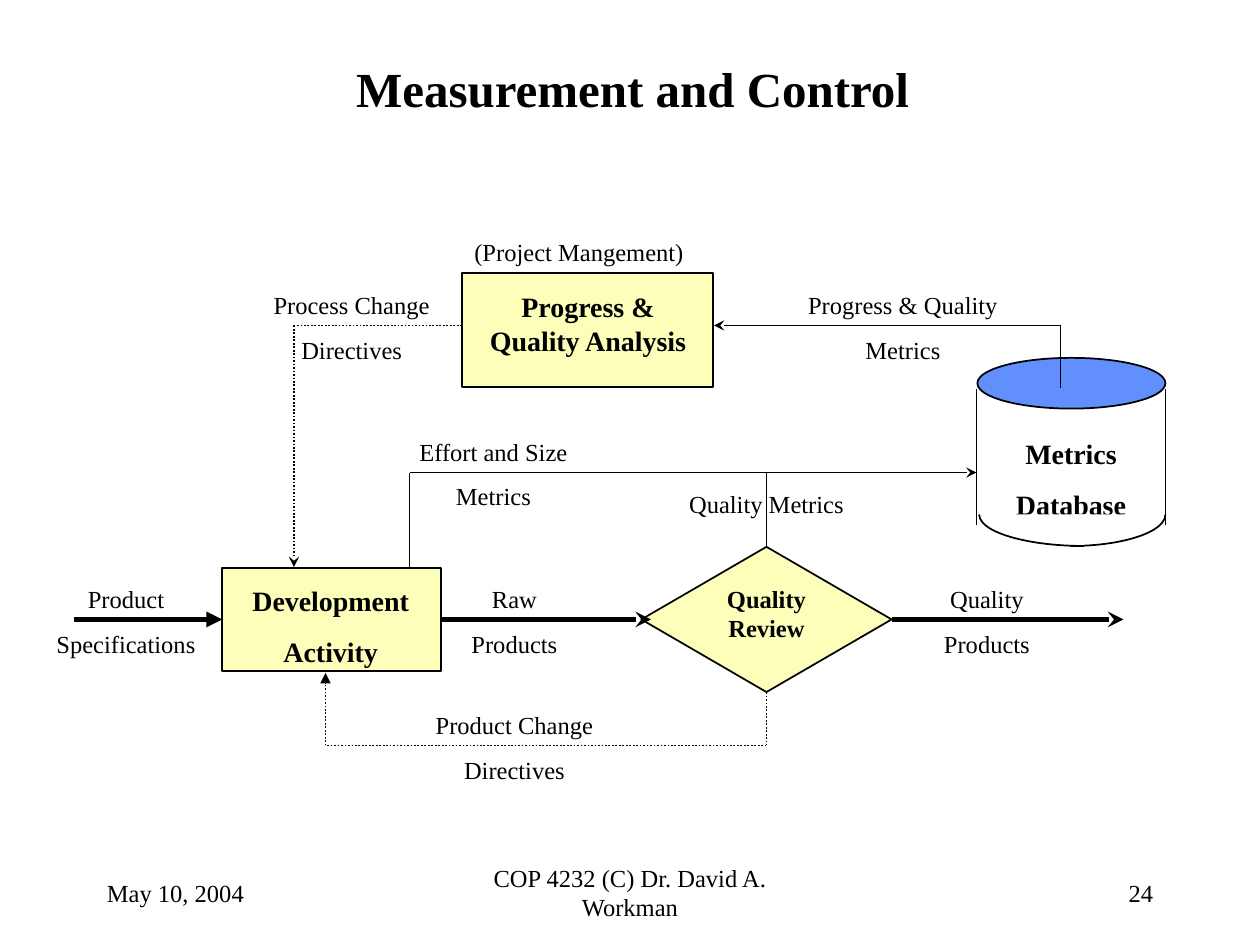
"""Build the Measurement and Control flow slide."""
from pptx import Presentation
from pptx.dml.color import RGBColor
from pptx.enum.dml import MSO_LINE as Dash
from pptx.enum.shapes import MSO_CONNECTOR as Conn, MSO_SHAPE as Kind
from pptx.enum.text import MSO_ANCHOR as Anchor, PP_ALIGN as Align
from pptx.oxml.ns import qn
from pptx.util import Pt

FONT = "Times New Roman"
BLACK, WHITE, CREAM, BLUE = "000000", "FFFFFF", "FCFEB9", "618FFD"

NODES = {
    "dev": (Kind.RECTANGLE, 127, 324.5, 125, 59, CREAM),
    "review": (Kind.DIAMOND, 366.5, 312.5, 143, 83, CREAM),
    "progress": (Kind.RECTANGLE, 264, 156, 143.5, 65, CREAM),
    "lid": (Kind.OVAL, 558.5, 204.5, 107.5, 29, BLUE),
}
WALLS = [((x, 222.5), (x, 300)) for x in (558, 666)]
ARCS = [(558, 276, 108, 36, 0, 90), (559.5, 276, 120, 36, 90, 180)]

# start, end, look; a node end is (name, site)
FLOWS = [
    ((42.5, 354), ("dev", 1), dict(width=3, tip="triangle")),
    (("dev", 3), (372, 354), dict(width=3, tip="stealth")),
    (("review", 3), (642, 354), dict(width=3, tip="stealth")),
    (("review", 0), (438, 270), {}),
    ((438, 270), (558, 270), dict(tip="stealth")),
    ((234, 324), (234, 270), {}),
    ((234, 270), (438, 270), {}),
    (("review", 2), (438, 426), dict(dots=True)),
    ((438, 426), (186, 426), dict(dots=True)),
    ((186, 426), (186, 384.5), dict(dots=True, tip="triangle")),
    ((264, 186), (168, 186), dict(dots=True)),
    ((168, 186), (168, 324), dict(dots=True, tip="stealth")),
    ((606, 186), (408, 186), dict(tip="stealth")),
    ((606, 186), (606, 222), {}),
]
HEADS = [
    (["Development", "Activity"], (132, 330, 114, 55), 16),
    (["Quality Review"], (408, 330, 60, 41), 14),
    (["Progress & Quality Analysis"], (270, 162, 132, 45), 16),
]
LABELS = [
    (["Process Change", "Directives"], (144, 162, 114, 50)),
    (["Product Change", "Directives"], (240, 402, 108, 50)),
    (["Quality", "Products"], (528, 330, 72, 50)),
    (["Raw", "Products"], (258, 330, 72, 50)),
    (["Product", "Specifications"], (24, 330, 96, 50)),
    (["Effort and Size", "Metrics"], (228, 246, 108, 50)),
    (["Quality Metrics"], (378, 276, 120, 24)),
    (["Progress & Quality", "Metrics"], (444, 162, 144, 50)),
]
FOOT = [
    ("May 10, 2004", 54, 150, Align.LEFT),
    ("COP 4232 (C) Dr. David A. Workman", 246, 228, Align.CENTER),
    ("24", 516, 150, Align.RIGHT),
]

deck = Presentation()
deck.slide_width, deck.slide_height = Pt(720), Pt(540)
slide = deck.slides.add_slide(deck.slide_layouts[6])


def tint(code):
    return RGBColor.from_string(code)


def shape(kind, x, y, w, h, fill):
    item = slide.shapes.add_shape(kind, Pt(x), Pt(y), Pt(w), Pt(h))
    item.shadow.inherit = False
    item.fill.solid()
    item.fill.fore_color.rgb = tint(fill)
    item.line.color.rgb = tint(BLACK)
    item.line.width = Pt(1)
    return item


def text(lines, box, size=14, bold=False, align=Align.CENTER,
         anchor=Anchor.TOP, fill=None):
    item = slide.shapes.add_textbox(*map(Pt, box))
    if fill:
        item.fill.solid()
        item.fill.fore_color.rgb = tint(fill)
    frame = item.text_frame
    frame.word_wrap = True
    frame.vertical_anchor = anchor
    for i, line in enumerate(lines):
        para = frame.add_paragraph() if i else frame.paragraphs[0]
        para.alignment = align
        if i:
            para.space_before = Pt(size * 0.63)
        run = para.add_run()
        run.text = line
        font = run.font
        font.name, font.size, font.bold = FONT, Pt(size), bold
        font.color.rgb = tint(BLACK)


def line(start, end, width=1, dots=False, tip=None):
    ends = [(0, 0) if isinstance(p[0], str) else p for p in (start, end)]
    item = slide.shapes.add_connector(
        Conn.STRAIGHT, *(Pt(v) for p in ends for v in p))
    for p, join in ((start, item.begin_connect), (end, item.end_connect)):
        if isinstance(p[0], str):
            join(nodes[p[0]], p[1])
    item.line.color.rgb = tint(BLACK)
    item.line.width = Pt(width)
    if dots:
        item.line.dash_style = Dash.ROUND_DOT
    if tip:
        stroke = item.line._get_or_add_ln()
        mark = stroke.makeelement(qn("a:tailEnd"), {"type": tip})
        stroke.append(mark)
    props = item._element.spPr
    props.append(props.makeelement(qn("a:effectLst"), {}))


text(["Measurement and Control"], (55.5, 29, 612, 42), size=28, bold=True,
     anchor=Anchor.MIDDLE)
nodes = {name: shape(*spec) for name, spec in NODES.items()}
for wall in WALLS:
    line(*wall)
text(["Metrics", "Database"], (564, 246, 96, 55), size=16, bold=True,
     fill=WHITE)
for *box, first, last in ARCS:
    arc = shape(Kind.ARC, *box, WHITE)
    for i, angle in enumerate((first, last)):
        arc.adjustments[i] = angle * 0.6
for words, box, size in HEADS:
    text(words, box, size=size, bold=True)
for start, end, look in FLOWS:
    line(start, end, **look)
for words, box in LABELS:
    text(words, box)
text(["(Project Mangement)"], (264, 132, 138, 24), align=Align.LEFT)
for words, x, w, side in FOOT:
    text([words], (x, 492, w, 36), align=side, anchor=Anchor.MIDDLE)
deck.save("out.pptx")
